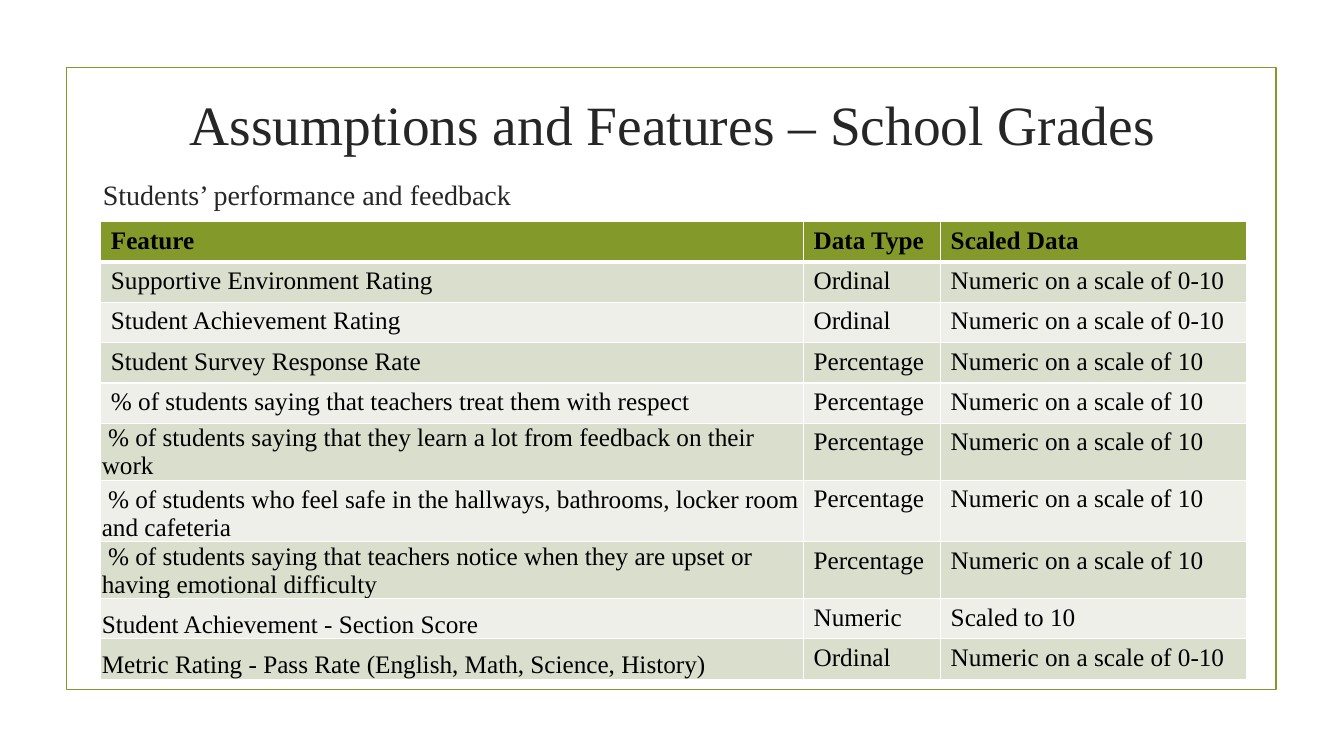
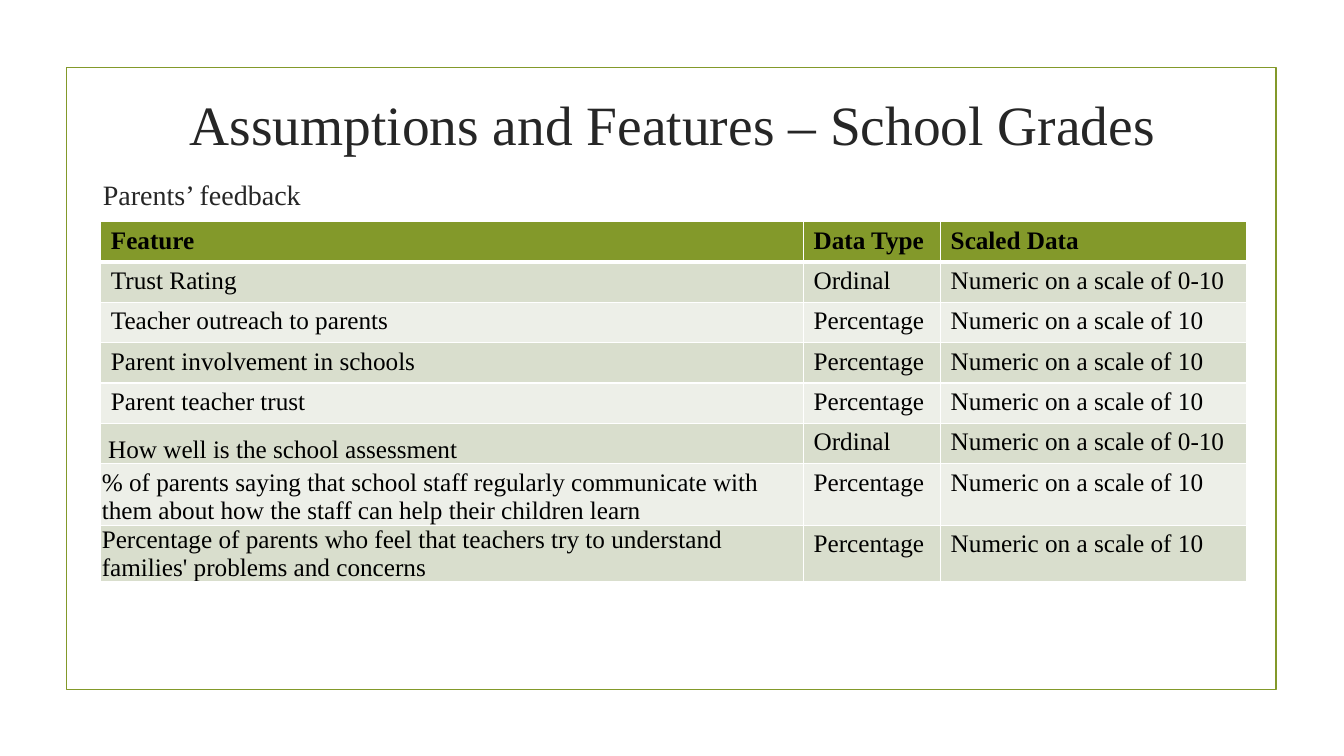
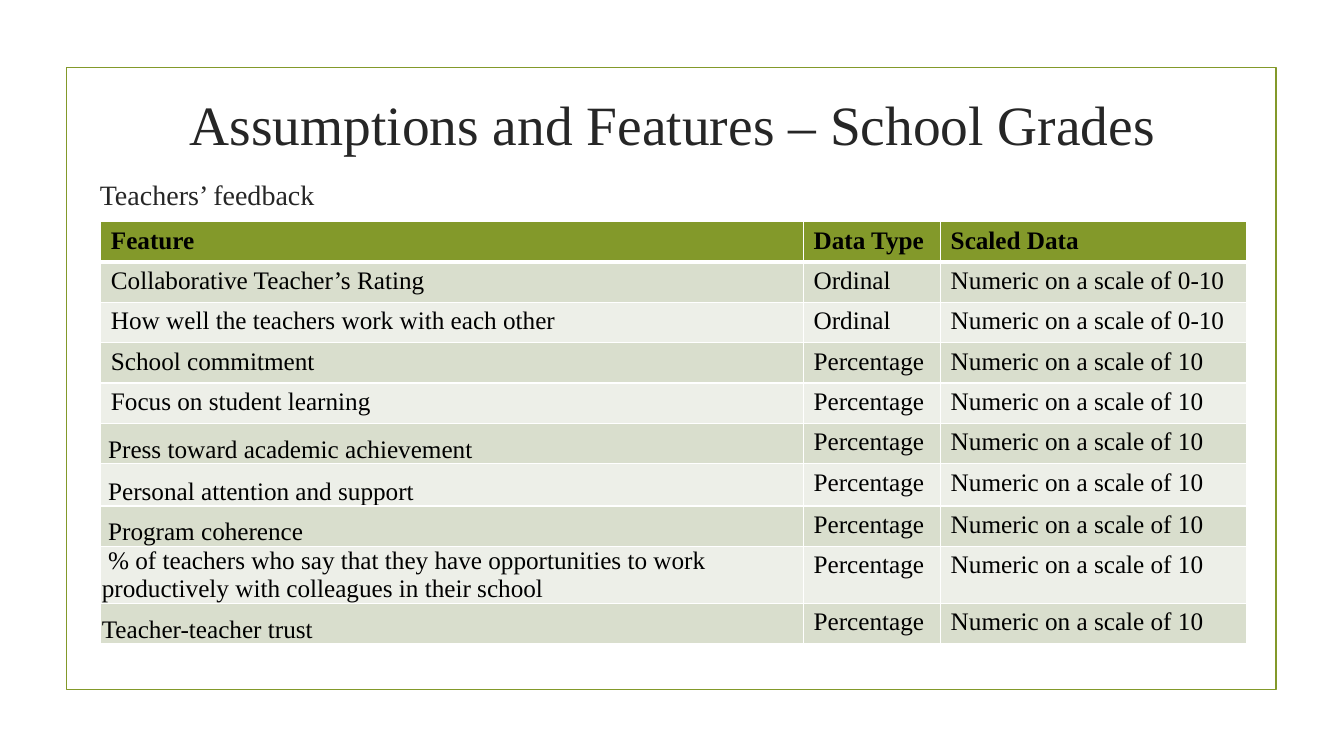
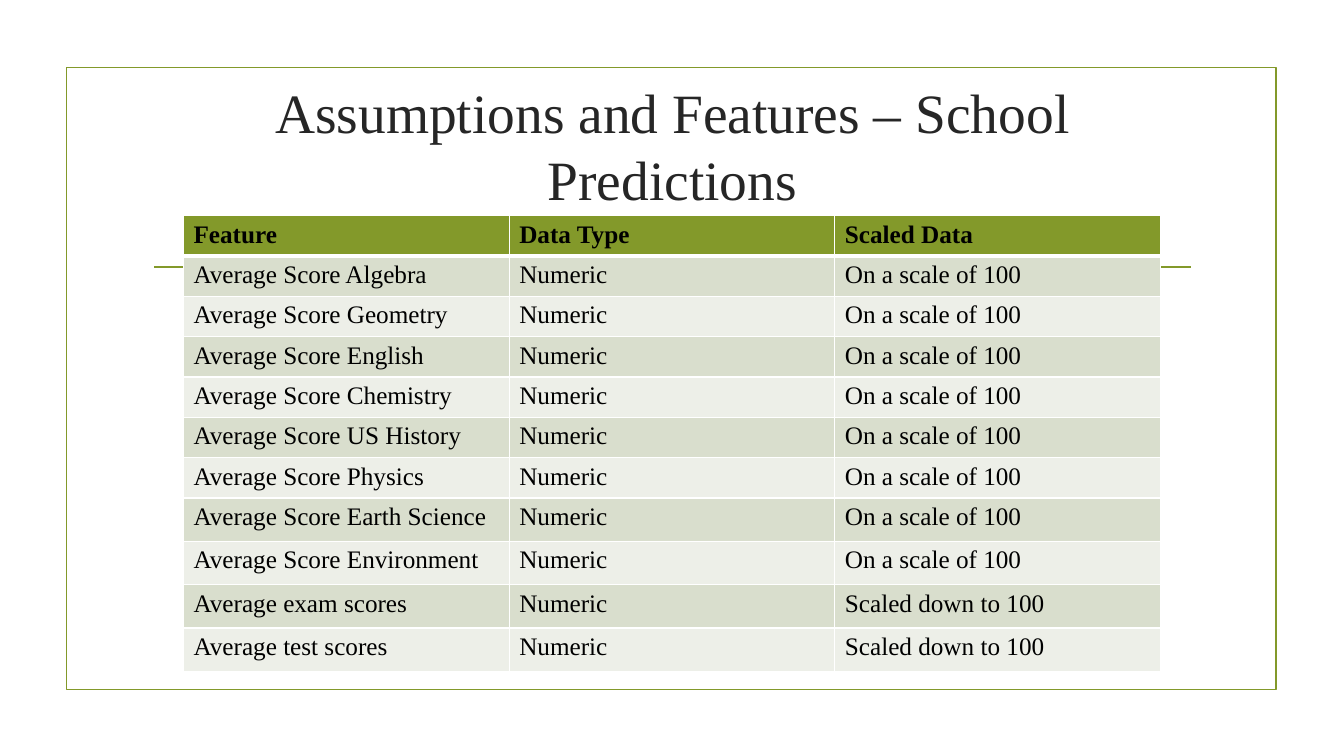
from dataclasses import dataclass

from lxml import etree
from pptx import Presentation
from pptx.dml.color import RGBColor
from pptx.enum import shapes, text
from pptx.oxml.ns import qn
from pptx.util import Inches, Pt


@dataclass(frozen=True)
class Theme:
    font: str = "Times New Roman"
    olive: str = "83992A"
    ink: str = "262626"
    cell_ink: str = "000000"
    grid: str = "FFFFFF"
    bands: tuple = ("D9DECD", "EDEFE8")
    title_size: float = 39.6
    subtitle_size: float = 20
    cell_size: float = 18
    frame_width: float = 1.25
    grid_width: float = 1
    header_rule_width: float = 3


@dataclass(frozen=True)
class Page:
    title: str
    title_box: tuple
    rows: list
    table_at: tuple
    columns: tuple
    heights: dict
    subtitle: str = ""
    subtitle_left: float = 0.92
    first_tight_row: int = 5


theme = Theme()


def add_run(paragraph, words, size, color, bold=False):
    run = paragraph.add_run()
    run.text = words
    run.font.name = theme.font
    run.font.size = Pt(size)
    run.font.bold = bold
    run.font.color.rgb = RGBColor.from_string(color)


def add_border(cell, side, width):
    border = etree.SubElement(cell._tc.get_or_add_tcPr(), qn(f"a:{side}"), w=str(Pt(width)))
    fill = etree.SubElement(border, qn("a:solidFill"))
    etree.SubElement(fill, qn("a:srgbClr"), val=theme.grid)


scales = {
    "Ordinal": "Numeric on a scale of 0-10",
    "Percentage": "Numeric on a scale of 10",
    "Numeric": "Scaled to 10",
}
student_features = [
    ("Supportive Environment Rating", "Ordinal"),
    ("Student Achievement Rating", "Ordinal"),
    ("Student Survey Response Rate", "Percentage"),
    ("% of students saying that teachers treat them with respect", "Percentage"),
    (" % of students saying that they learn a lot from feedback on their work", "Percentage"),
    (" % of students who feel safe in the hallways, bathrooms, locker room and cafeteria", "Percentage"),
    (" % of students saying that teachers notice when they are upset or having emotional difficulty", "Percentage"),
    ("Student Achievement - Section Score", "Numeric"),
    ("Metric Rating - Pass Rate (English, Math, Science, History)", "Ordinal"),
]
parent_features = [
    ("Trust Rating", "Ordinal"),
    ("Teacher outreach to parents", "Percentage"),
    ("Parent involvement in schools", "Percentage"),
    ("Parent teacher trust", "Percentage"),
    (" How well is the school assessment", "Ordinal"),
    ("% of parents saying that school staff regularly communicate with them "
     "about how the staff can help their children learn", "Percentage"),
    ("Percentage of parents who feel that teachers try to understand families' problems and concerns", "Percentage"),
]
teacher_features = [
    ("Collaborative Teacher’s Rating", "Ordinal"),
    ("How well the teachers work with each other", "Ordinal"),
    ("School commitment", "Percentage"),
    ("Focus on student learning", "Percentage"),
    (" Press toward academic achievement", "Percentage"),
    (" Personal attention and support", "Percentage"),
    (" Program coherence", "Percentage"),
    (" % of teachers who say that they have opportunities to work "
     "productively with colleagues in their school", "Percentage"),
    ("Teacher-teacher trust", "Percentage"),
]
subjects = ["Algebra", "Geometry", "English", "Chemistry", "US History",
            "Physics", "Earth Science", "Environment"]
assessments = ["exam", "test"]

pages = [
    Page(
        title="Assumptions and Features – School Grades",
        title_box=(1.42, 0.78, 10.5, 0.88),
        rows=[(feature, kind, scales[kind]) for feature, kind in features],
        table_at=(1, 2.2),
        columns=(6.97, 1.36, 3.03),
        heights={6: sixth_height},
        subtitle=subtitle,
        subtitle_left=left,
    )
    for subtitle, left, features, sixth_height in [
        ("Students’ performance and feedback", 0.92, student_features, 0.61),
        ("Parents’ feedback", 0.92, parent_features, 0.61),
        ("Teachers’ feedback", 0.89, teacher_features, 0.42),
    ]
]
pages.append(Page(
    title="Assumptions and Features – School Predictions",
    title_box=(1.42, 0.72, 10.5, 1.43),
    rows=[(f"Average Score {subject}", "Numeric", "On a scale of 100") for subject in subjects]
    + [(f"Average {assessment} scores", "Numeric", "Scaled down to 100") for assessment in assessments],
    table_at=(1.82, 2.14),
    columns=(3.23,) * 3,
    heights=dict.fromkeys(range(7, 11), 0.43),
    first_tight_row=99,
))

prs = Presentation()
prs.slide_width, prs.slide_height = Inches(13.33), Inches(7.5)
title_and_content, title_only = prs.slide_layouts[1], prs.slide_layouts[5]

for number, page in enumerate(pages):
    slide = prs.slides.add_slide(title_and_content if page.subtitle else title_only)

    if number == 0:
        frame = slide.shapes.add_shape(
            shapes.MSO_SHAPE.RECTANGLE, Inches(0.66), Inches(0.67), Inches(12), Inches(6.17))
        frame.shadow.inherit = False
        frame.fill.background()
        divider = slide.shapes.add_connector(
            shapes.MSO_CONNECTOR.STRAIGHT, Inches(1.53), Inches(2.65), Inches(11.81), Inches(2.65))
        etree.SubElement(divider.element.spPr, qn("a:effectLst"))
        for offset, decoration in enumerate((frame, divider)):
            decoration.line.color.rgb = RGBColor.from_string(theme.olive)
            decoration.line.width = Pt(theme.frame_width)
            decoration.element.xpath(".//p:cNvPr")[0].set("id", str(20 + offset))
            prs.slide_master.shapes.element.insert(2 + offset, decoration.element)

    title = slide.shapes.title
    title.left, title.top, title.width, title.height = map(Inches, page.title_box)
    title.text_frame.vertical_anchor = text.MSO_ANCHOR.MIDDLE
    heading = title.text_frame.paragraphs[0]
    heading.alignment = text.PP_ALIGN.CENTER
    add_run(heading, page.title, theme.title_size, theme.ink)

    if page.subtitle:
        body = slide.placeholders[1]
        body.left, body.top = Inches(page.subtitle_left), Inches(1.71)
        body.width, body.height = Inches(10.5), Inches(3.63)
        subtitle = body.text_frame.paragraphs[0]
        subtitle.level = 1
        subtitle.space_after = Pt(6)
        properties = subtitle._p.get_or_add_pPr()
        properties.set("marL", "0")
        properties.set("indent", "0")
        etree.SubElement(properties, qn("a:buNone"))
        add_run(subtitle, page.subtitle, theme.subtitle_size, theme.ink)

    rows = [("Feature", "Data Type", "Scaled Data")] + page.rows
    heights = [page.heights.get(index, 0.4) for index in range(len(rows))]
    features = slide.shapes.add_table(
        len(rows), len(page.columns), *map(Inches, page.table_at),
        Inches(sum(page.columns)), Inches(sum(heights))).table
    for column, width in zip(features.columns, page.columns):
        column.width = Inches(width)

    for row_index, row in enumerate(rows):
        features.rows[row_index].height = Inches(heights[row_index])
        is_header = row_index == 0
        fill = theme.olive if is_header else theme.bands[(row_index - 1) % 2]
        top = theme.header_rule_width if row_index == 1 else theme.grid_width
        bottom = theme.header_rule_width if is_header else theme.grid_width
        for column_index, words in enumerate(row):
            cell = features.cell(row_index, column_index)
            if column_index == 0 and row_index >= page.first_tight_row:
                cell.vertical_anchor = text.MSO_ANCHOR.BOTTOM
                cell.margin_left = cell.margin_top = cell.margin_right = Inches(0.01)
                cell.margin_bottom = 0
            for side, width in (("lnL", theme.grid_width), ("lnR", theme.grid_width),
                                ("lnT", top), ("lnB", bottom)):
                add_border(cell, side, width)
            cell.fill.solid()
            cell.fill.fore_color.rgb = RGBColor.from_string(fill)
            add_run(cell.text_frame.paragraphs[0], words, theme.cell_size, theme.cell_ink, is_header)

prs.save("out.pptx")
